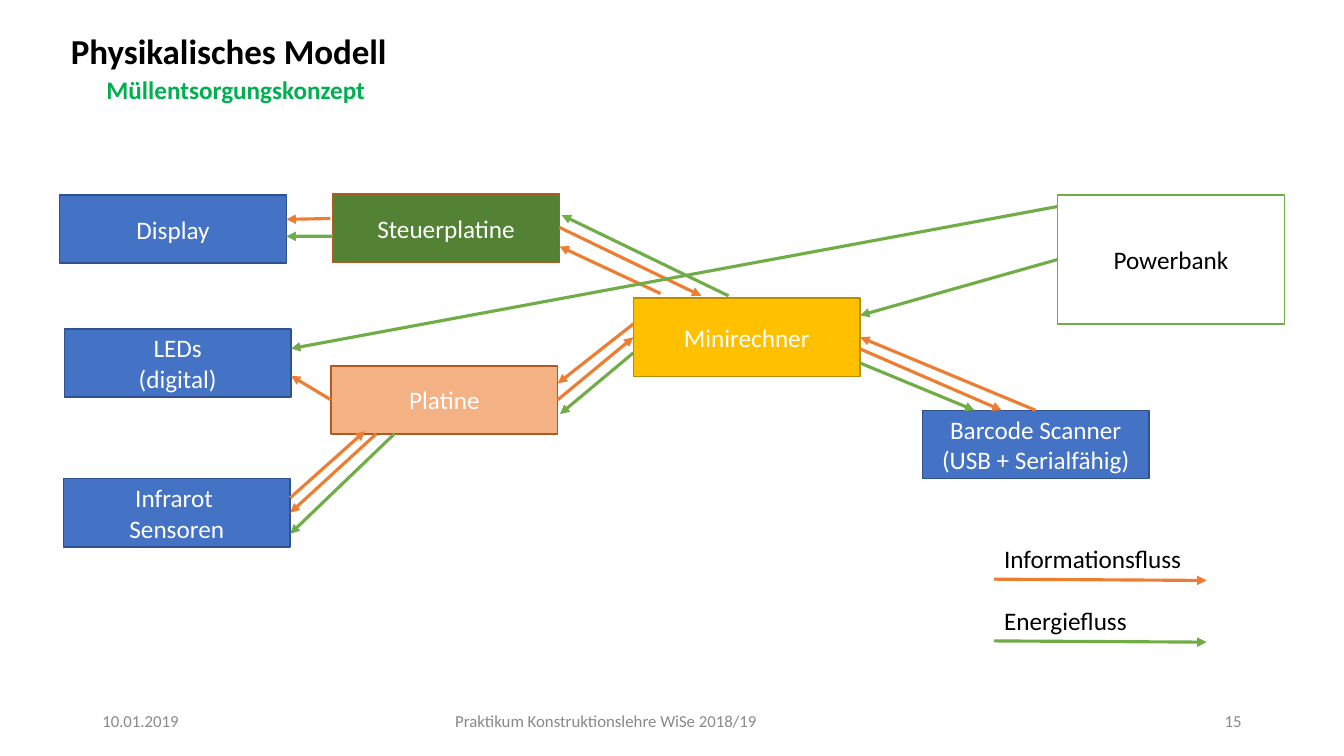
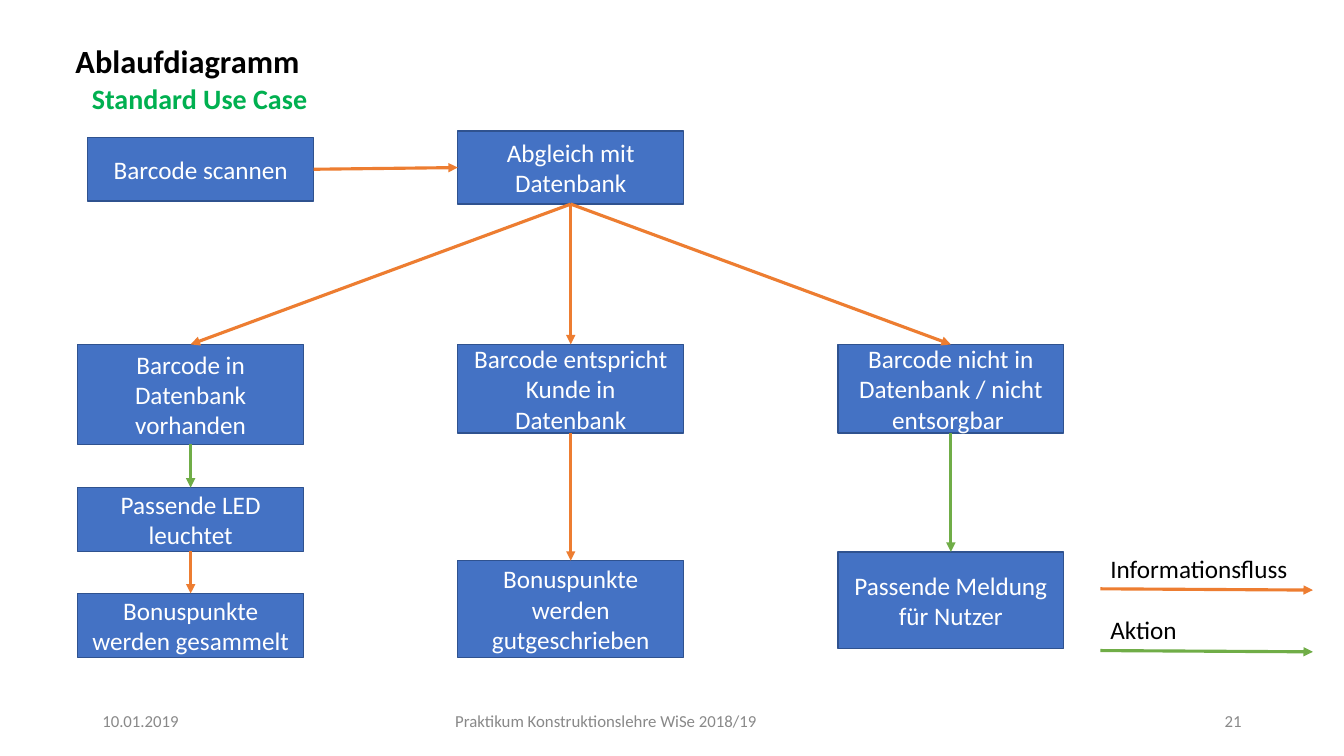
from dataclasses import dataclass

from lxml.etree import SubElement
from pptx import Presentation
from pptx.dml.color import RGBColor
from pptx.enum.shapes import MSO_CONNECTOR as Connector, MSO_SHAPE as Preset
from pptx.enum.text import MSO_ANCHOR as Anchor, PP_ALIGN as Align
from pptx.oxml.ns import qn
from pptx.util import Emu, Inches, Pt

CELL = Inches(1) // 12
COLUMNS, ROWS = 160, 90
TOP, LEFT, BOTTOM, RIGHT = range(4)


@dataclass(frozen=True)
class Theme:
    font: str = "Calibri"
    body_size: float = 18
    footer_size: float = 12
    box_line: float = 1
    arrow_line: float = 2.25
    black: str = "000000"
    grey: str = "898989"
    subtitle: str = "00B050"
    information: str = "ED7D31"
    energy: str = "70AD47"
    blue: tuple = ("4472C4", "2F528F", "FFFFFF")
    green: tuple = ("548235", "AE5A21", "FFFFFF")
    peach: tuple = ("F4B183", "AE5A21", "FFFFFF")
    yellow: tuple = ("FFC000", "BC8C00", "FFFFFF")
    outlined: tuple = ("FFFFFF", "70AD47", "000000")


THEME = Theme()


def rgb(colour):
    return RGBColor.from_string(colour)


def cells(*values):
    return [Emu(round(value * CELL)) for value in values]


def write(shape, text, size, colour, align, anchor, bold=False):
    frame = shape.text_frame
    frame.text = text
    frame.vertical_anchor = anchor
    for paragraph in frame.paragraphs:
        paragraph.alignment = align
        for run in paragraph.runs:
            run.font.name = THEME.font
            run.font.size = Pt(size)
            run.font.bold = bold
            run.font.color.rgb = rgb(colour)


def add_label(slide, area, text, size=THEME.body_size, colour=THEME.black,
              align=Align.LEFT, anchor=Anchor.TOP, bold=False):
    shape = slide.shapes.add_textbox(*cells(*area))
    shape.text_frame.word_wrap = True
    write(shape, text, size, colour, align, anchor, bold)


def add_box(slide, area, text, style=THEME.blue):
    fill, line, text_colour = style
    shape = slide.shapes.add_shape(Preset.RECTANGLE, *cells(*area))
    shape.shadow.inherit = False
    shape.fill.solid()
    shape.fill.fore_color.rgb = rgb(fill)
    shape.line.color.rgb = rgb(line)
    shape.line.width = Pt(THEME.box_line)
    shape.text_frame.word_wrap = True
    write(shape, text, THEME.body_size, text_colour, Align.CENTER, Anchor.MIDDLE)
    return shape


def add_arrow(slide, colour, start=(0, 0), end=(0, 0)):
    connector = slide.shapes.add_connector(Connector.STRAIGHT, *start, *end)
    connector.line.color.rgb = rgb(colour)
    connector.line.width = Pt(THEME.arrow_line)
    properties = connector._element.spPr
    SubElement(properties.find(qn("a:ln")), qn("a:tailEnd"), type="triangle")
    SubElement(properties, qn("a:effectLst"))
    return connector


def point_on(shape, across, down):
    return (Emu(round(shape.left + across * shape.width)),
            Emu(round(shape.top + down * shape.height)))


def connect(slide, colour, source, source_side, target, target_side):
    connector = add_arrow(slide, colour)
    connector.begin_connect(source, source_side)
    connector.end_connect(target, target_side)


def add_legend(slide, left, top, entries):
    for index, (text, colour) in enumerate(entries):
        row = top + 7.35 * index
        add_label(slide, (left, row, 25, 4.8), text)
        add_arrow(slide, colour, cells(left, row + 4.85), cells(left + 25.3, row + 5))


def add_heading(slide, left, top, title, title_size):
    add_label(slide, (left, top, 46, 8.1), title, title_size,
              anchor=Anchor.BOTTOM, bold=True)


def add_subtitle(slide, left, top, text, size):
    add_label(slide, (left, top, 36, 4.8), text, size, THEME.subtitle, bold=True)


def add_footer(slide, number):
    for left, width, text, align in (
        (11, 36, "10.01.2019", Align.LEFT),
        (32.3, 79.7, "Praktikum Konstruktionslehre WiSe 2018/19", Align.CENTER),
        (113, 36, str(number), Align.RIGHT),
    ):
        add_label(slide, (left, 83.4, width, 4.8), text, THEME.footer_size,
                  THEME.grey, align, Anchor.MIDDLE)


def build_physical_model(slide):
    add_heading(slide, 7.25, 1, "Physikalisches Modell", 25)
    add_subtitle(slide, 11.5, 8.3, "Müllentsorgungskonzept", 18)

    width, height = 27, 8.1
    display = add_box(slide, (7.1, 23.2, width, height), "Display")
    board = add_box(slide, (39.6, 23.1, width, height), "Steuerplatine", THEME.green)
    leds = add_box(slide, (7.65, 39.15, width, height), "LEDs\v(digital)")
    controller = add_box(slide, (39.4, 43.55, width, height), "Platine", THEME.peach)
    sensors = add_box(slide, (7.55, 57, width, height), "Infrarot \vSensoren")
    computer = add_box(slide, (75.4, 35.5, width, 9.3), "Minirechner", THEME.yellow)
    scanner = add_box(slide, (109.8, 48.85, width, height),
                      "Barcode Scanner\v(USB + Serialfähig)")
    powerbank = add_box(slide, (125.9, 23.2, width, 15.4), "Powerbank", THEME.outlined)

    information_flows = (
        (board, (-0.01, 0.36), display, (1, 0.36)),
        (computer, (0.12, -0.06), board, (1, 0.77)),
        (board, (1, 0.49), computer, (0.3, -0.03)),
        (computer, (0, 0.33), controller, (1, 0.26)),
        (controller, (1, 0.5), computer, (0, 0.5)),
        (scanner, (0.5, 0), computer, (1, 0.5)),
        (computer, (1, 0.65), scanner, (0.35, 0)),
        (controller, (0, 0.5), leds, (1, 0.69)),
        (sensors, (1, 0.28), controller, (0.15, 0.96)),
        (controller, (0.2, 1), sensors, (1, 0.5)),
    )
    energy_flows = (
        (powerbank, (0, 0.09), leds, (1, 0.29)),
        (powerbank, (0, 0.5), computer, (1, 0.22)),
        (computer, (0.42, -0.03), board, (1.01, 0.31)),
        (computer, (1, 0.83), scanner, (0.23, 0)),
        (computer, (0, 0.7), controller, (1.01, 0.71)),
        (board, (0, 0.62), display, (1, 0.61)),
        (controller, (0.28, 1), sensors, (1, 0.81)),
    )
    for colour, flows in ((THEME.information, information_flows),
                          (THEME.energy, energy_flows)):
        for source, start, target, end in flows:
            add_arrow(slide, colour, point_on(source, *start), point_on(target, *end))

    add_legend(slide, 118.35, 64.1, (("Informationsfluss", THEME.information),
                                     ("Energiefluss", THEME.energy)))


def build_flow_chart(slide):
    add_heading(slide, 7.8, 2, "Ablaufdiagramm", 23.1)
    add_subtitle(slide, 9.75, 9.1, "Standard Use Case", 20)

    width = 26.9
    lanes = [9.25 + 45.25 * index for index in range(3)]
    scan = add_box(slide, (10.45, 16.35, width, 7.6), "Barcode scannen")
    check = add_box(slide, (lanes[1], 15.6, width, 8.7), "Abgleich mit Datenbank")
    connect(slide, THEME.information, scan, RIGHT, check, LEFT)

    info, action = THEME.information, THEME.energy
    chains = (
        ((41, 11.9, "Barcode in Datenbank vorhanden", info),
         (58.05, 7.6, "Passende LED leuchtet", action),
         (70.65, 7.6, "Bonuspunkte werden gesammelt", info)),
        ((41, 10.55, "Barcode entspricht Kunde in Datenbank", info),
         (66.75, 11.5, "Bonuspunkte werden gutgeschrieben", info)),
        ((41, 10.55, "Barcode nicht in Datenbank / nicht entsorgbar ", info),
         (65.7, 11.5, "Passende Meldung für Nutzer", action)),
    )
    for left, chain in zip(lanes, chains):
        previous = check
        for top, height, text, colour in chain:
            step = add_box(slide, (left, top, width, height), text)
            connect(slide, colour, previous, BOTTOM, step, TOP)
            previous = step

    add_legend(slide, 131, 65.25, (("Informationsfluss", info), ("Aktion", action)))


def main():
    presentation = Presentation()
    presentation.slide_width, presentation.slide_height = cells(COLUMNS, ROWS)
    blank = presentation.slide_layouts[6]
    for build, number in ((build_physical_model, 15), (build_flow_chart, 21)):
        slide = presentation.slides.add_slide(blank)
        build(slide)
        add_footer(slide, number)
    presentation.save("out.pptx")


if __name__ == "__main__":
    main()
